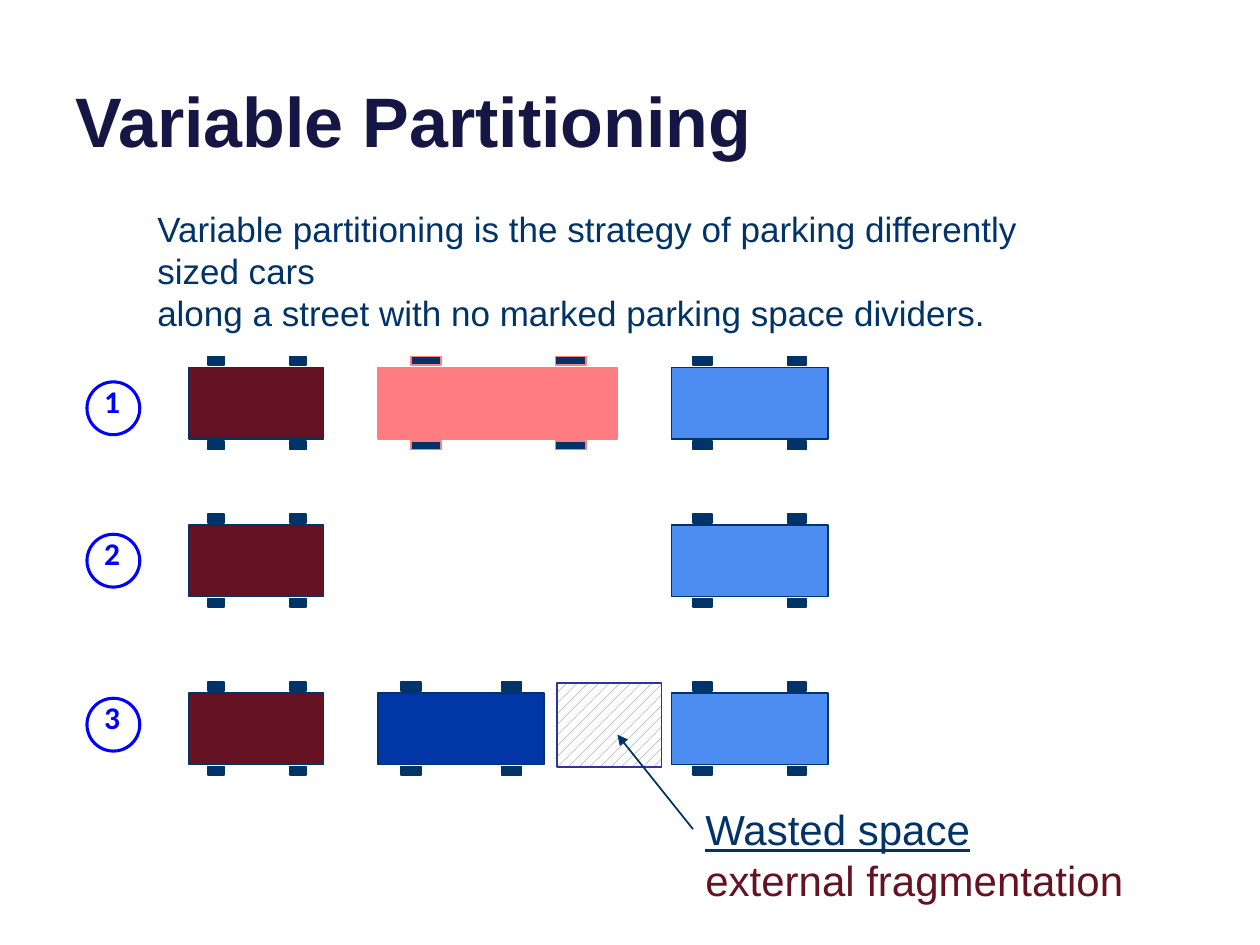
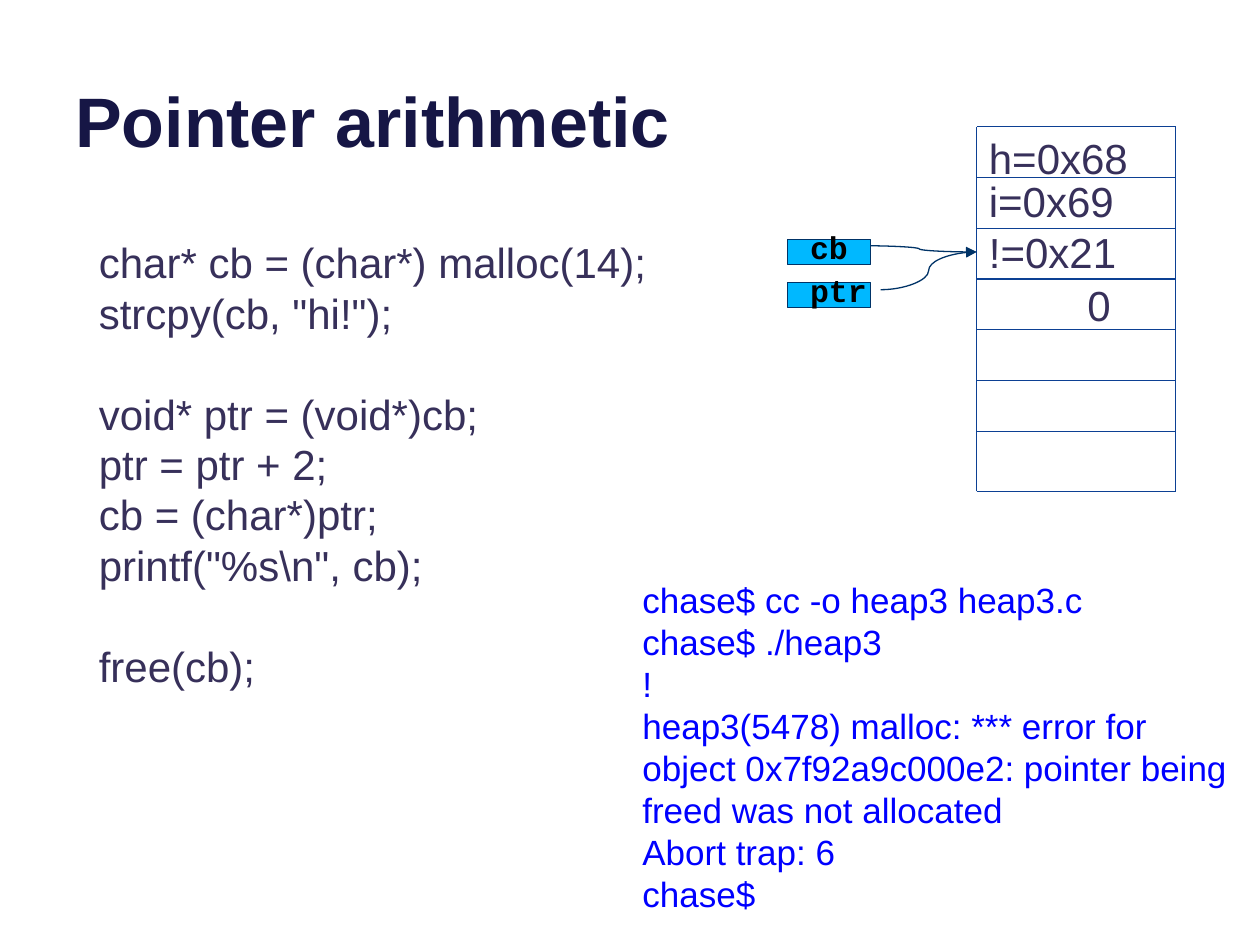
from lxml.etree import SubElement
from pptx import Presentation
from pptx.dml.color import RGBColor
from pptx.enum.dml import MSO_PATTERN
from pptx.enum.shapes import MSO_CONNECTOR, MSO_SHAPE
from pptx.enum.text import MSO_ANCHOR, PP_ALIGN
from pptx.oxml.ns import qn
from pptx.util import Pt

COLORS = {
    "title": "161645", "ink": "003367", "maroon": "651222", "pink": "FF7C80",
    "sky": "4D8CF1", "navy": "0036A6", "blue": "0000FF", "code": "37305A",
    "grid": "0C4093", "cyan": "00B8FF", "black": "000000", "white": "FFFFFF",
    "hatch": "666699", "hatch_edge": "333399",
}
RGB = {name: RGBColor.from_string(value) for name, value in COLORS.items()}
FORMATS = {
    "title": {"name": "Arial", "size": Pt(40), "bold": True},
    "body": {"name": "Arial", "size": Pt(20)},
    "large": {"name": "Arial", "size": Pt(24)},
    "number": {"name": "Calibri", "size": Pt(18), "bold": True},
    "label": {"name": "Courier New", "size": Pt(18), "bold": True},
}


def add_text(s, x, y, w, h, lines, style, color, inset=7.2):
    tf = s.shapes.add_textbox(Pt(x), Pt(y), Pt(w), Pt(h)).text_frame
    tf.word_wrap = True
    tf.margin_left = Pt(inset)
    for i, line in enumerate(lines):
        p = tf.paragraphs[0] if i == 0 else tf.add_paragraph()
        p.line_spacing = Pt(FORMATS[style]["size"].pt * 1.2)
        r = p.add_run()
        r.text = line
        for key, value in FORMATS[style].items():
            setattr(r.font, key, value)
        r.font.color.rgb = RGB[color]
    return tf


def add_box(s, x, y, w, h, fill, line, weight=1, kind=MSO_SHAPE.RECTANGLE):
    sp = s.shapes.add_shape(kind, Pt(x), Pt(y), Pt(w), Pt(h))
    sp.shadow.inherit = False
    if fill:
        sp.fill.solid()
        sp.fill.fore_color.rgb = RGB[fill]
    else:
        sp.fill.background()
    sp.line.color.rgb = RGB[line]
    sp.line.width = Pt(weight)
    return sp


prs = Presentation()
prs.slide_width, prs.slide_height = Pt(720), Pt(540)
slides = []
for title in ("Variable Partitioning", "Pointer arithmetic"):
    s = prs.slides.add_slide(prs.slide_layouts[6])
    tf = add_text(s, 36, -26.6, 648, 122.4, [title], "title", "title")
    tf.vertical_anchor = MSO_ANCHOR.BOTTOM
    slides.append(s)
parking, pointers = slides

CARS = {
    "maroon": (108, 77, (118.8, 165.6), 9.4, "ink"),
    "pink": (216, 136.8, (234.7, 317.5), 17.3, "pink"),
    "sky": (383.8, 89.3, (396, 450), 10.8, "ink"),
    "navy": (216, 95, (229, 286.6), 11.5, "ink"),
}
ROWS = [
    (210, 218.2, ("maroon", "pink", "sky")),
    (300, 305.3, ("maroon", "sky")),
    (396, 399, ("maroon", "navy", "sky")),
]
for number, (top, circle_top, cars) in enumerate(ROWS, 1):
    for car in cars:
        x, width, wheels, wheel_width, edge = CARS[car]
        add_box(parking, x, top, width, 41, car, edge)
        for wheel_x in wheels:
            for wheel_y in (top - 6.2, top + 42):
                add_box(parking, wheel_x, wheel_y, wheel_width, 5, "ink", edge)
    tf = add_text(parking, 46.1, circle_top - 3.6, 36, 28.8, [str(number)], "number", "blue")
    tf.paragraphs[0].alignment = PP_ALIGN.CENTER
    add_box(parking, 49.7, circle_top, 30.2, 30.2, None, "blue", 1.75, MSO_SHAPE.OVAL)

add_text(parking, 82.8, 115.2, 526, 79, [
    "Variable partitioning is the strategy of parking differently sized cars",
    "along a street with no marked parking space dividers.",
], "body", "ink")

wasted = add_box(parking, 318.2, 390.2, 59.8, 48.2, "white", "hatch_edge")
wasted.fill.patterned()
wasted.fill.pattern = MSO_PATTERN.PERCENT_20
wasted.fill.fore_color.rgb = RGB["hatch"]
wasted.fill.back_color.rgb = RGB["white"]

tf = add_text(parking, 396, 455.8, 360, 65.5,
              ["Wasted space", "external fragmentation"], "large", "ink")
tf.paragraphs[0].runs[0].font.underline = True
tf.paragraphs[1].runs[0].font.color.rgb = RGB["maroon"]

LEFT, RIGHT, TOP, BOTTOM, PITCH = 558, 671.8, 72.5, 280.8, 29
straight, curve = MSO_CONNECTOR.STRAIGHT, MSO_CONNECTOR.CURVE
row_lines = [TOP + i * PITCH for i in range(7)] + [BOTTOM]
connectors = [(parking, straight, 396, 473.8, 352.8, 419.8, "ink", 1, True)]
connectors += [(pointers, straight, LEFT, y, RIGHT, y, "grid", 0.75, False) for y in row_lines]
connectors += [(pointers, straight, x, BOTTOM, x, TOP, "grid", 0.75, False) for x in (LEFT, RIGHT)]
connectors += [(pointers, curve, x, y, LEFT, 144, "ink", 0.75, True)
               for x, y in ((492.5, 140.4), (503.3, 165.6))]
for s, kind, x1, y1, x2, y2, color, weight, arrow in connectors:
    c = s.shapes.add_connector(kind, Pt(x1), Pt(y1), Pt(x2), Pt(y2))
    c.line.color.rgb = RGB[color]
    c.line.width = Pt(weight)
    if arrow:
        SubElement(c.line._get_or_add_ln(), qn("a:tailEnd"), type="triangle")
    SubElement(c._element.spPr, qn("a:effectLst"))

tf = add_text(pointers, 36, 131.8, 498, 269, [
    "char* cb = (char*) malloc(14);",
    'strcpy(cb, "hi!");',
    "void* ptr = (void*)cb;",
    "ptr = ptr + 2;",
    "cb = (char*)ptr;",
    'printf("%s\\n", cb);',
    "free(cb);",
], "large", "code", 20.5)
for i in (2, 6):
    tf.paragraphs[i].space_before = Pt(28.8)

for value, x, y in (("h=0x68", LEFT, 72), ("i=0x69", LEFT, 96.5),
                    ("!=0x21", LEFT, 126), ("0", 614.2, 156.2)):
    add_text(pointers, x, y, 110, 36.7, [value], "large", "code")

for name, y in (("cb", 136.8), ("ptr", 161.3)):
    add_box(pointers, 450, y, 47.5, 14.4, "cyan", "ink", 0.75)
    add_text(pointers, 455.8, y - 10.1, 60, 28.8, [name], "label", "black")

add_text(pointers, 360, 326.9, 360, 200.9, [
    "chase$ cc -o heap3 heap3.c",
    "chase$ ./heap3",
    "!",
    "heap3(5478) malloc: *** error for object 0x7f92a9c000e2: pointer being freed was not allocated",
    "Abort trap: 6",
    "chase$",
], "body", "blue")

prs.save("out.pptx")
